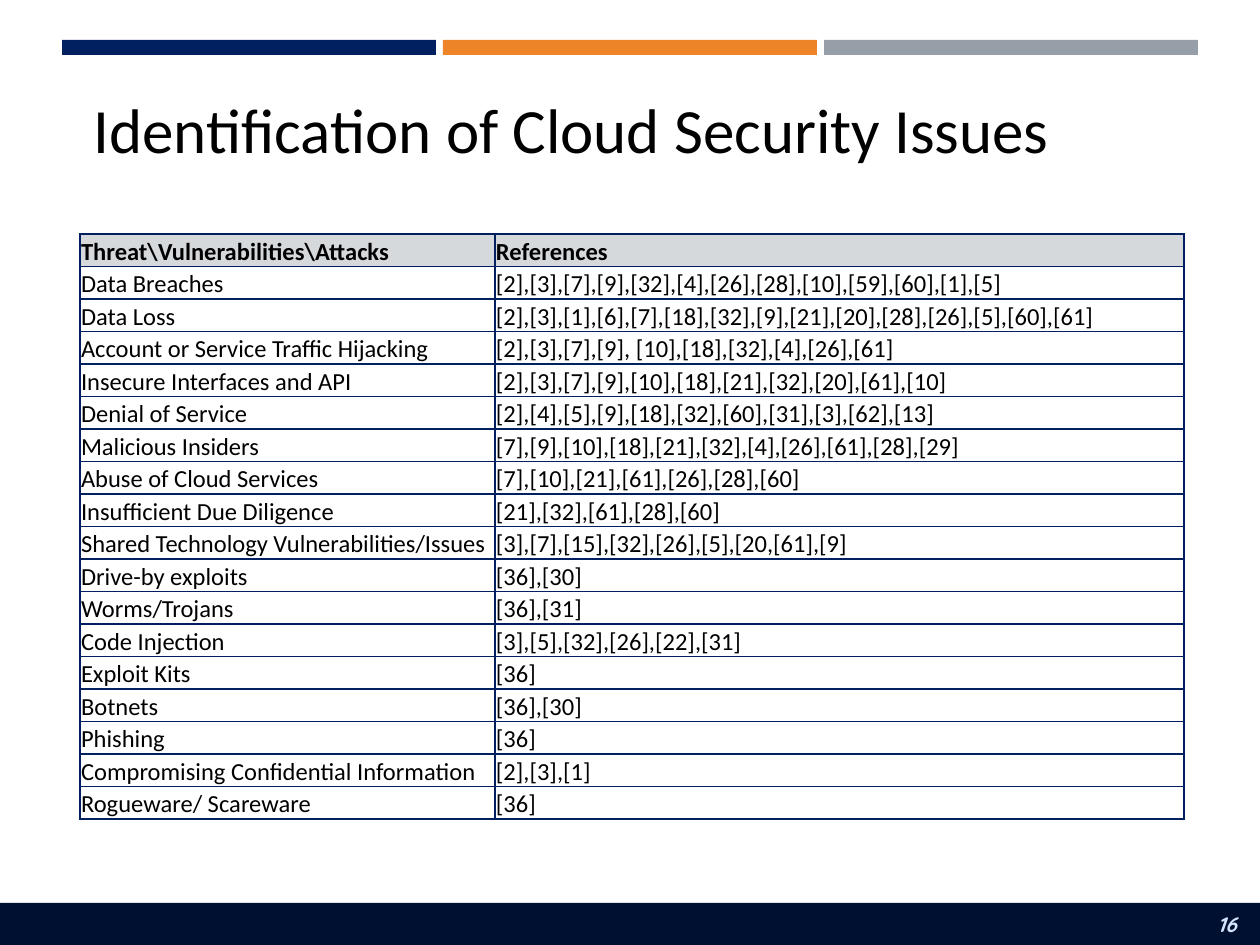
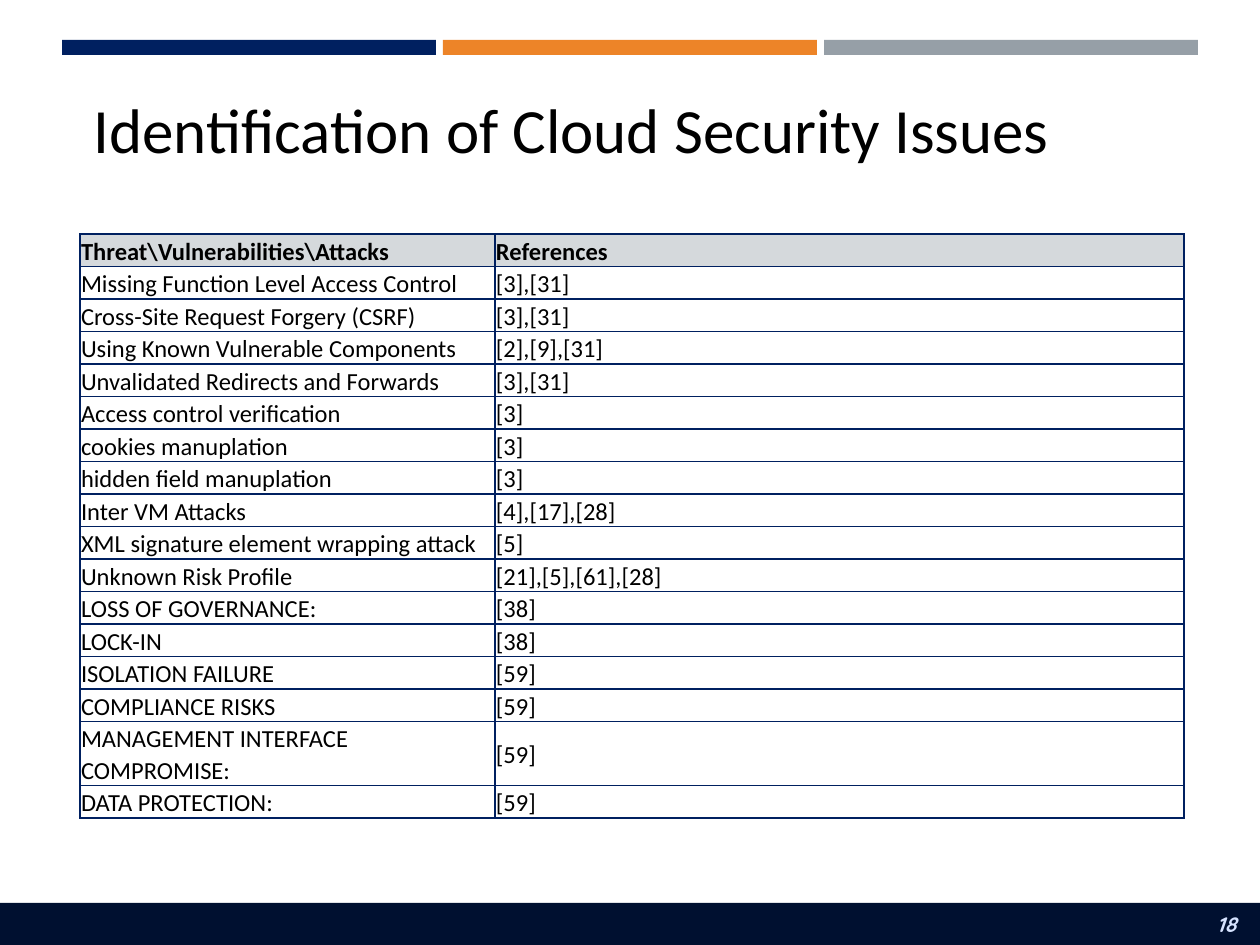
from typing import NamedTuple

import lxml.etree
import pptx
import pptx.dml.color
import pptx.enum.shapes
import pptx.enum.text
import pptx.oxml.ns
import pptx.slide
import pptx.util

# Shared look
NAVY, ORANGE, GREY = "002060", "ED8428", "969FA7"
DEEP, PALE, HEAD, BLACK = "001030", "D6E3FF", "D5D9DC", "000000"
FONT = "Calibri"
TITLE = "Identification of Cloud Security Issues"
WIDE, HIGH = 1260, 945
SCALE = 914400 / 126
COLS = (415, 689)
ROW = 32
MIDDLE = pptx.enum.text.MSO_ANCHOR.MIDDLE
ALIGN = pptx.enum.text.PP_ALIGN


class Box(NamedTuple):
    left: int
    top: int
    width: int
    height: int


class Band(NamedTuple):
    box: Box
    color: str


class Style(NamedTuple):
    size: int
    font: str = FONT
    color: str = BLACK
    bold: bool = False
    italic: bool = False


class Page(NamedTuple):
    number: str
    rows: list[tuple[str, str]]


BANDS = [Band(Box(62 + 381 * i, 40, 374, 15), color)
         for i, color in enumerate((NAVY, ORANGE, GREY))]
BANDS.append(Band(Box(0, 903, WIDE, 42), DEEP))

# Table contents
HEADER = ("Threat\\Vulnerabilities\\Attacks", "References ")
PAGES = [
    Page("16", [
        ("Data Breaches",
         "[2],[3],[7],[9],[32],[4],[26],[28],[10],[59],[60],[1],[5]"),
        ("Data Loss",
         "[2],[3],[1],[6],[7],[18],[32],[9],[21],[20],[28],[26],[5],[60],[61]"),
        ("Account or Service Traffic Hijacking",
         "[2],[3],[7],[9], [10],[18],[32],[4],[26],[61]"),
        ("Insecure Interfaces and API",
         "[2],[3],[7],[9],[10],[18],[21],[32],[20],[61],[10]"),
        ("Denial of Service",
         "[2],[4],[5],[9],[18],[32],[60],[31],[3],[62],[13]"),
        ("Malicious Insiders",
         "[7],[9],[10],[18],[21],[32],[4],[26],[61],[28],[29]"),
        ("Abuse of Cloud Services", "[7],[10],[21],[61],[26],[28],[60]"),
        ("Insufficient Due Diligence", "[21],[32],[61],[28],[60]"),
        ("Shared Technology Vulnerabilities/Issues",
         "[3],[7],[15],[32],[26],[5],[20,[61],[9]"),
        ("Drive-by exploits", "[36],[30]"),
        ("Worms/Trojans", "[36],[31]"),
        ("Code Injection", "[3],[5],[32],[26],[22],[31]"),
        ("Exploit Kits", "[36]"),
        ("Botnets", "[36],[30]"),
        ("Phishing", "[36]"),
        ("Compromising Confidential Information", "[2],[3],[1]"),
        ("Rogueware/ Scareware", "[36]"),
    ]),
    Page("18", [
        ("Missing Function Level Access Control", "[3],[31]"),
        ("Cross-Site Request Forgery (CSRF)", "[3],[31]"),
        ("Using Known Vulnerable Components", "[2],[9],[31]"),
        ("Unvalidated Redirects and Forwards", "[3],[31]"),
        ("Access control verification", "[3]"),
        ("cookies manuplation", "[3]"),
        ("hidden field manuplation", "[3]"),
        ("Inter VM Attacks", "[4],[17],[28]"),
        ("XML signature element wrapping attack", "[5]"),
        ("Unknown Risk Profile", "[21],[5],[61],[28]"),
        ("LOSS OF GOVERNANCE:", "[38]"),
        ("LOCK-IN", "[38]"),
        ("ISOLATION FAILURE", "[59]"),
        ("COMPLIANCE RISKS", "[59]"),
        ("MANAGEMENT INTERFACE COMPROMISE:", "[59]"),
        ("DATA PROTECTION:", "[59]"),
    ]),
]


def px(count: int) -> pptx.util.Emu:
    return pptx.util.Emu(round(count * SCALE))


def place(box: Box) -> list[pptx.util.Emu]:
    return [px(side) for side in box]


def paint(target, color: str) -> None:
    """Set the colour of a font or a solid fill."""
    tone = target.color if hasattr(target, "color") else target.fore_color
    tone.rgb = pptx.dml.color.RGBColor.from_string(color)


def write(frame, text: str, style: Style, align=ALIGN.LEFT):
    """Add one styled run and return its paragraph."""
    para = frame.paragraphs[0]
    para.alignment = align
    run = para.add_run()
    run.text = text
    font = run.font
    font.name, font.size = style.font, pptx.util.Pt(style.size)
    font.bold, font.italic = style.bold, style.italic
    paint(font, style.color)
    return para


# Bands, title and page number
def draw_band(slide: pptx.slide.Slide, band: Band) -> None:
    shape = slide.shapes.add_shape(
        pptx.enum.shapes.MSO_SHAPE.RECTANGLE, *place(band.box))
    shape.shadow.inherit = False
    shape.fill.solid()
    paint(shape.fill, band.color)
    shape.line.fill.background()


def draw_title(slide: pptx.slide.Slide) -> None:
    title = slide.shapes.title
    title.left, title.top, title.width, title.height = place(
        Box(81, 67, 1101, 123))
    frame = title.text_frame
    frame.vertical_anchor = MIDDLE
    frame.auto_size = pptx.enum.text.MSO_AUTO_SIZE.NONE
    write(frame, TITLE, Style(36))


def draw_number(slide: pptx.slide.Slide, number: str) -> None:
    frame = slide.shapes.add_textbox(
        *place(Box(1060, 903, 189, 42))).text_frame
    frame.word_wrap = True
    frame.vertical_anchor = MIDDLE
    write(frame, number, Style(12, "Quicksand", PALE, True, True), ALIGN.RIGHT)


# Table
def add_edges(cell) -> None:
    props = cell._tc.get_or_add_tcPr()
    name = pptx.oxml.ns.qn
    for i, side in enumerate("LRTB"):
        line = lxml.etree.Element(name(f"a:ln{side}"), w="12700")
        fill = lxml.etree.SubElement(line, name("a:solidFill"))
        lxml.etree.SubElement(fill, name("a:srgbClr"), val=NAVY)
        props.insert(i, line)


def fill_cell(cell, text: str, head: bool) -> None:
    cell.margin_left = cell.margin_right = cell.margin_top = px(1)
    cell.margin_bottom = 0
    cell.vertical_anchor = MIDDLE
    if head:
        cell.fill.solid()
        paint(cell.fill, HEAD)
    else:
        cell.fill.background()
    add_edges(cell)
    para = write(cell.text_frame, text, Style(14, bold=head))
    para.line_spacing = 1.07


def draw_table(slide: pptx.slide.Slide, rows: list[tuple[str, str]]) -> None:
    lines = [HEADER, *rows]
    box = Box(80, 234, sum(COLS), ROW * len(lines))
    table = slide.shapes.add_table(
        len(lines), len(COLS), *place(box)).table
    table.first_row = table.horz_banding = False
    for col, width in zip(table.columns, COLS):
        col.width = px(width)
    for r, line in enumerate(lines):
        table.rows[r].height = px(ROW)
        for c, text in enumerate(line):
            fill_cell(table.cell(r, c), text, r == 0)


# Build the slides
deck = pptx.Presentation()
deck.slide_width, deck.slide_height = px(WIDE), px(HIGH)
for page in PAGES:
    slide = deck.slides.add_slide(deck.slide_layouts[5])
    for band in BANDS:
        draw_band(slide, band)
    draw_number(slide, page.number)
    draw_title(slide)
    draw_table(slide, page.rows)
deck.save("out.pptx")
